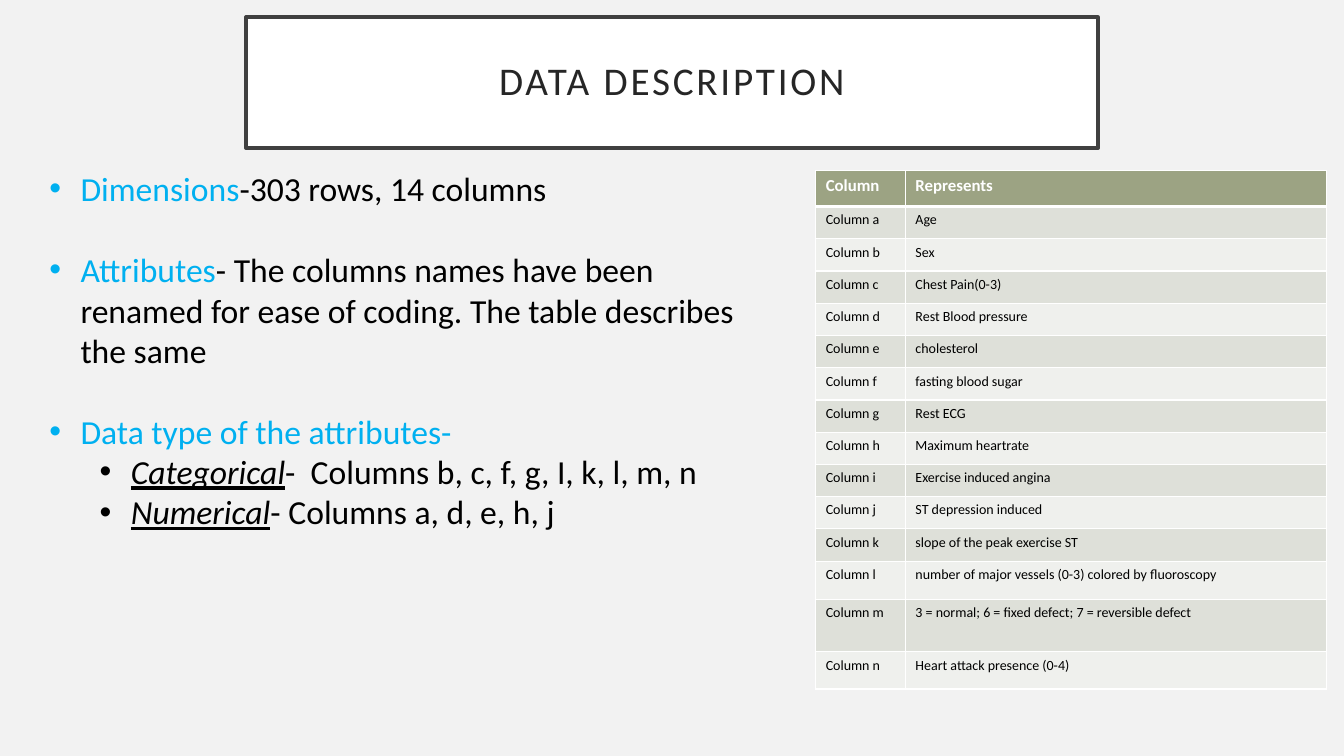
import pptx
import pptx.dml.color
import pptx.enum.shapes
import pptx.enum.text
import pptx.oxml
import pptx.oxml.ns
import pptx.util

Inches = pptx.util.Inches
Pt = pptx.util.Pt
RGBColor = pptx.dml.color.RGBColor

BACKGROUND = RGBColor(0xF2, 0xF2, 0xF2)
WHITE = RGBColor(0xFF, 0xFF, 0xFF)
BLACK = RGBColor(0x00, 0x00, 0x00)
FRAME = RGBColor(0x40, 0x40, 0x40)
TITLE_TEXT = RGBColor(0x26, 0x26, 0x26)
TOPIC = RGBColor(0x00, 0xB0, 0xF0)
HEADER_FILL = RGBColor(0x9C, 0xA3, 0x83)
ODD_FILL = RGBColor(0xDE, 0xE0, 0xD9)
EVEN_FILL = RGBColor(0xEF, 0xF0, 0xED)

FONT = "Calibri"
TITLE_FORMAT = {"size": Pt(28), "name": FONT}
BODY_FORMAT = {"size": Pt(24), "name": FONT}
KIND_FORMAT = {**BODY_FORMAT, "italic": True, "underline": True}
HEADER_FORMAT = {"size": Pt(12), "name": FONT, "bold": True}
CELL_FORMAT = {"size": Pt(10), "name": FONT, "bold": False}

TOPICS = [
    ("Dimensions", "-303 rows, 14 columns"),
    ("Attributes", "- The columns names have been renamed for ease of coding. "
                   "The table describes the same"),
    ("Data type of the attributes-", ""),
]
DATA_TYPES = [
    ("Categorical", "-  Columns b, c, f, g, I, k, l, m, n"),
    ("Numerical", "- Columns a, d, e, h, j"),
]
MEANINGS = [
    "Age",
    "Sex",
    "Chest Pain(0-3)",
    "Rest Blood pressure",
    "cholesterol",
    "fasting blood sugar",
    "Rest ECG",
    "Maximum heartrate",
    "Exercise induced angina",
    "ST depression induced",
    "slope of the peak exercise ST",
    "number of major vessels (0-3) colored by fluoroscopy",
    "3 = normal; 6 = fixed defect; 7 = reversible defect",
    "Heart attack presence (0-4)",
]
COLUMN_WIDTHS = [0.89, 4.18]
ROW_HEIGHTS = [0.36] + [0.32] * 11 + [0.38, 0.52, 0.37]


def apply_format(target, values):
    for attribute, value in values.items():
        setattr(target, attribute, value)


def add_run(paragraph, text, values, color):
    run = paragraph.add_run()
    run.text = text
    apply_format(run.font, values)
    run.font.color.rgb = color
    return run


def add_title(slide, text):
    banner = slide.shapes.add_shape(
        pptx.enum.shapes.MSO_SHAPE.RECTANGLE,
        Inches(2.44), Inches(0.17), Inches(8.45), Inches(1.3))
    banner.shadow.inherit = False
    banner.fill.solid()
    banner.fill.fore_color.rgb = WHITE
    banner.line.color.rgb = FRAME
    banner.line.width = Pt(2.5)
    margin = Inches(0.2)
    apply_format(banner.text_frame, {
        "word_wrap": True,
        "vertical_anchor": pptx.enum.text.MSO_ANCHOR.MIDDLE,
        "margin_left": margin, "margin_right": margin,
        "margin_top": margin, "margin_bottom": margin})
    heading = banner.text_frame.paragraphs[0]
    apply_format(heading, {
        "alignment": pptx.enum.text.PP_ALIGN.CENTER, "line_spacing": 0.9})
    run = add_run(heading, text, TITLE_FORMAT, TITLE_TEXT)
    run.font._element.set("spc", "200")


def add_bullet(paragraph, level, indent):
    paragraph.level = level
    properties = paragraph._p.get_or_add_pPr()
    properties.set("marL", str(Inches(indent)))
    properties.set("indent", str(Inches(-0.31)))
    namespace = pptx.oxml.ns.nsdecls("a")
    for tag in ('buFont {} typeface="Arial"', 'buChar {} char="•"'):
        properties.append(pptx.oxml.parse_xml(f"<a:{tag.format(namespace)}/>"))


def add_description(slide):
    description = slide.shapes.add_textbox(
        Inches(0.39), Inches(1.62), Inches(7.21), Inches(3.74)).text_frame
    apply_format(description, {
        "word_wrap": True,
        "auto_size": pptx.enum.text.MSO_AUTO_SIZE.SHAPE_TO_FIT_TEXT})
    points = [(0, 0.31, TOPIC, BODY_FORMAT, *topic) for topic in TOPICS]
    points += [(1, 0.81, BLACK, KIND_FORMAT, *kind) for kind in DATA_TYPES]
    for index, (level, indent, color, values, term, detail) in enumerate(points):
        paragraph = description.add_paragraph() if index else description.paragraphs[0]
        if index and level == 0:
            paragraph.space_before = Pt(29)
        add_bullet(paragraph, level, indent)
        add_run(paragraph, term, values, color)
        if detail:
            add_run(paragraph, detail, BODY_FORMAT, BLACK)


def set_borders(cell, widths):
    properties = cell._tc.get_or_add_tcPr()
    for side, width in widths.items():
        properties.append(pptx.oxml.parse_xml(
            f'<a:ln{side} {pptx.oxml.ns.nsdecls("a")} w="{Pt(width)}">'
            f'<a:solidFill><a:srgbClr val="{WHITE}"/></a:solidFill></a:ln{side}>'))


def fill_cell(cell, text, row):
    set_borders(cell, {
        "L": 1, "R": 1, "T": 3 if row == 1 else 1, "B": 3 if row == 0 else 1})
    cell.fill.solid()
    if row == 0:
        cell.fill.fore_color.rgb = HEADER_FILL
    else:
        cell.fill.fore_color.rgb = ODD_FILL if row % 2 else EVEN_FILL
    values, color = (CELL_FORMAT, BLACK) if row else (HEADER_FORMAT, WHITE)
    add_run(cell.text_frame.paragraphs[0], text, values, color)


def add_column_table(slide):
    entries = [("Column", "Represents")]
    entries += [(f"Column {letter}", meaning)
                for letter, meaning in zip("abcdefghijklmn", MEANINGS)]
    columns = slide.shapes.add_table(
        len(entries), len(COLUMN_WIDTHS), Inches(8.09), Inches(1.69),
        Inches(sum(COLUMN_WIDTHS)), Inches(sum(ROW_HEIGHTS))).table
    for column, width in zip(columns.columns, COLUMN_WIDTHS):
        column.width = Inches(width)
    for row, (entry, height) in enumerate(zip(entries, ROW_HEIGHTS)):
        columns.rows[row].height = Inches(height)
        for position, text in enumerate(entry):
            fill_cell(columns.cell(row, position), text, row)


def main():
    presentation = pptx.Presentation()
    presentation.slide_width = Inches(13.33)
    presentation.slide_height = Inches(7.5)
    slide = presentation.slides.add_slide(presentation.slide_layouts[6])
    slide.background.fill.solid()
    slide.background.fill.fore_color.rgb = BACKGROUND
    add_title(slide, "DATA DESCRIPTION")
    add_description(slide)
    add_column_table(slide)
    presentation.save("out.pptx")


if __name__ == "__main__":
    main()
